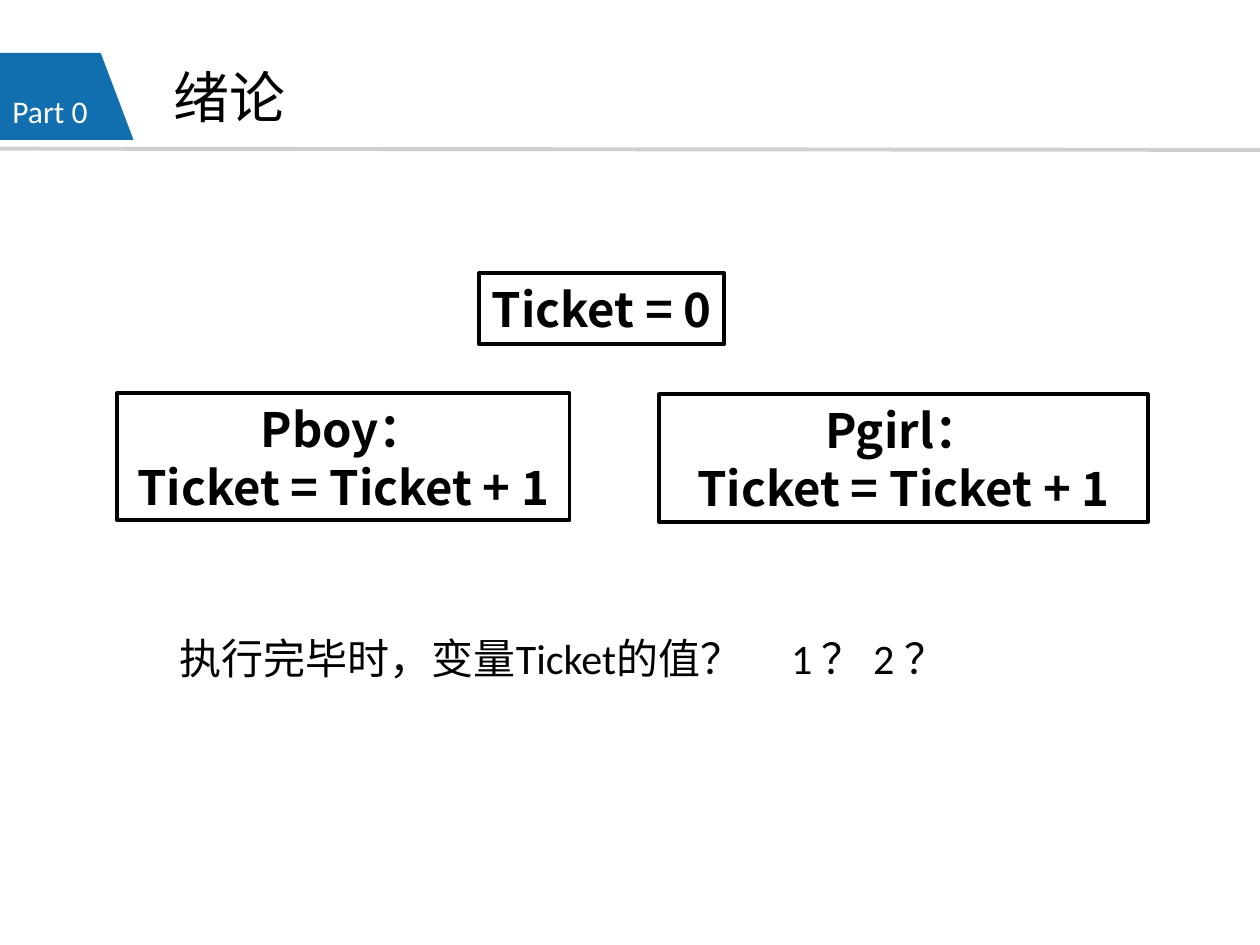
"""Build the introduction slide about two processes sharing one ticket counter."""
from dataclasses import dataclass

from lxml import etree
from pptx import Presentation
from pptx.dml.color import RGBColor
from pptx.enum.shapes import MSO_CONNECTOR, MSO_SHAPE
from pptx.enum.text import MSO_ANCHOR, MSO_AUTO_SIZE, PP_ALIGN
from pptx.oxml.ns import qn
from pptx.util import Inches, Pt

RECTANGLE = MSO_SHAPE.RECTANGLE
STRAIGHT = MSO_CONNECTOR.STRAIGHT
TOP, MIDDLE = MSO_ANCHOR.TOP, MSO_ANCHOR.MIDDLE
NO_AUTOFIT = MSO_AUTO_SIZE.NONE
LEFT, CENTER = PP_ALIGN.LEFT, PP_ALIGN.CENTER


@dataclass(frozen=True)
class Theme:
    black: RGBColor = RGBColor(0x00, 0x00, 0x00)
    white: RGBColor = RGBColor(0xFF, 0xFF, 0xFF)
    blue: RGBColor = RGBColor(0x11, 0x6E, 0xAF)
    gray: RGBColor = RGBColor(0xD0, 0xCE, 0xCE)
    latin_font: str = "Calibri"
    asian_font: str = "Noto Sans CJK SC"
    title_size: float = 32
    box_size: float = 27
    question_size: float = 24
    part_size: float = 18
    line_width: float = 2.25
    box_spacing: float = 33


@dataclass(frozen=True)
class Area:
    left: float
    top: float
    width: float
    height: float

    def lengths(self) -> tuple:
        return tuple(map(Inches, (self.left, self.top, self.width, self.height)))


@dataclass(frozen=True)
class CodeBox:
    area: Area
    lines: tuple[str, ...]


THEME = Theme()
TAB_POSITION = 4.85
CODE_BOXES = (
    CodeBox(Area(3.8, 2.17, 1.95, 0.56), ("Ticket = 0",)),
    CodeBox(Area(0.93, 3.12, 3.59, 1.01), ("Pboy：", "Ticket = Ticket + 1")),
    CodeBox(Area(5.23, 3.13, 3.88, 1.01), ("Pgirl：", "Ticket = Ticket + 1")),
)


def apply(target, values: dict) -> None:
    for name, value in values.items():
        setattr(target, name, value)


def write_text(shape, lines: tuple[str, ...], size: float, color: RGBColor,
               font: str = THEME.latin_font, bold: bool = False,
               frame_values: dict | None = None,
               paragraph_values: dict | None = None) -> None:
    frame = shape.text_frame
    apply(frame, {"auto_size": NO_AUTOFIT, "word_wrap": True,
                  "vertical_anchor": TOP} | (frame_values or {}))
    for index, line in enumerate(lines):
        paragraph = frame.add_paragraph() if index else frame.paragraphs[0]
        apply(paragraph, {"alignment": LEFT} | (paragraph_values or {}))
        run = paragraph.add_run()
        run.text = line
        apply(run.font, {"size": Pt(size), "bold": bold, "name": font})
        run.font.color.rgb = color
        asian = etree.SubElement(run.font._element, qn("a:ea"))
        asian.set("typeface", THEME.asian_font)


def add_code_box(slide, box: CodeBox) -> None:
    shape = slide.shapes.add_shape(RECTANGLE, *box.area.lengths())
    shape.shadow.inherit = False
    shape.fill.background()
    shape.line.color.rgb = THEME.black
    shape.line.width = Pt(THEME.line_width)
    write_text(shape, box.lines, THEME.box_size, THEME.black, THEME.asian_font, True,
               {"word_wrap": False},
               {"alignment": CENTER, "line_spacing": Pt(THEME.box_spacing)})


def add_header(slide) -> None:
    builder = slide.shapes.build_freeform(0, Inches(1.11))
    corners = ((0, 0.42), (0.8, 0.42), (1.06, 1.11))
    builder.add_line_segments([(Inches(x), Inches(y)) for x, y in corners])
    tab = builder.convert_to_shape()
    tab.shadow.inherit = False
    tab.fill.solid()
    tab.fill.fore_color.rgb = THEME.blue
    tab.line.fill.background()

    title = slide.shapes.title
    apply(title, dict(zip(("left", "top", "width", "height"),
                          Area(1.15, 0.44, 2.19, 0.64).lengths())))
    write_text(title, ("绪论",), THEME.title_size, THEME.black,
               frame_values={"vertical_anchor": MIDDLE, "margin_left": Inches(0.23)})

    rule = slide.shapes.add_connector(
        STRAIGHT, Inches(-0.01), Inches(1.18), Inches(10.08), Inches(1.19))
    rule.line.color.rgb = THEME.gray
    rule.line.width = Pt(THEME.line_width)
    etree.SubElement(rule._element.spPr, qn("a:effectLst"))

    part = slide.shapes.add_textbox(*Area(0, 0.68, 1.06, 0.4).lengths())
    write_text(part, ("Part 0",), THEME.part_size, THEME.white)


def add_question(slide) -> None:
    question = slide.shapes.add_textbox(*Area(1.33, 4.97, 6.3, 0.5).lengths())
    write_text(question, ("执行完毕时，变量Ticket的值？\t1 ？ 2 ？",),
               THEME.question_size, THEME.black)
    properties = question.text_frame.paragraphs[0]._p.get_or_add_pPr()
    tabs = etree.SubElement(properties, qn("a:tabLst"))
    etree.SubElement(tabs, qn("a:tab"), pos=str(Inches(TAB_POSITION)), algn="l")


def main() -> None:
    presentation = Presentation()
    apply(presentation, {"slide_width": Inches(10), "slide_height": Inches(7.5)})
    slide = presentation.slides.add_slide(presentation.slide_layouts[5])
    add_header(slide)
    for box in CODE_BOXES:
        add_code_box(slide, box)
    add_question(slide)
    presentation.save("out.pptx")


if __name__ == "__main__":
    main()
